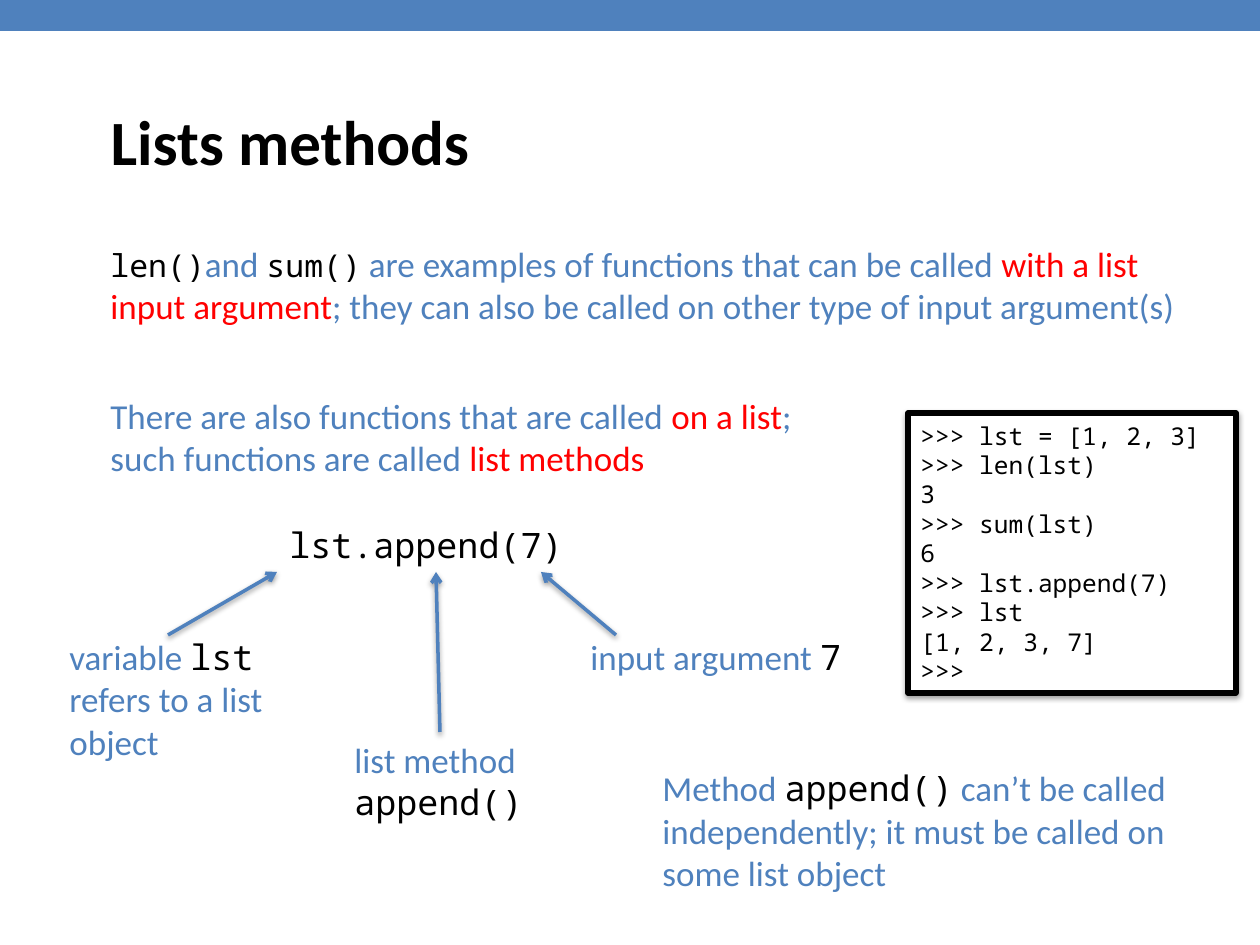
"""Build a slide that explains list methods with an annotated call and a console."""
import lxml.etree
import pptx
import pptx.dml.color
import pptx.enum.shapes
import pptx.enum.text
import pptx.oxml.ns
import pptx.util

BLUE = pptx.dml.color.RGBColor(0x4F, 0x81, 0xBD)
RED = pptx.dml.color.RGBColor(0xFF, 0x00, 0x00)
BLACK = pptx.dml.color.RGBColor(0x00, 0x00, 0x00)
WHITE = pptx.dml.color.RGBColor(0xFF, 0xFF, 0xFF)

TITLE = ("Calibri", 36, BLACK)
BODY = ("Calibri", 20, BLUE)
KEY = ("Calibri", 20, RED)
CODE = ("Noto Sans Mono", 20, BLACK)
INLINE_CODE = ("Noto Sans Mono", 18, BLACK)
CONSOLE = ("Noto Sans Mono", 14, BLACK)

PX = 914400 / 126
SHADOW = (
    '<a:effectLst xmlns:a="http://schemas.openxmlformats.org/drawingml/2006/main">'
    '<a:outerShdw blurRad="40000" dist="20000" dir="5400000" rotWithShape="0">'
    '<a:srgbClr val="000000"><a:alpha val="38000"/></a:srgbClr>'
    "</a:outerShdw></a:effectLst>"
)


def emu(*lengths):
    return [round(length * PX) for length in lengths]


def write_text(shape, paragraphs):
    frame = shape.text_frame
    frame.vertical_anchor = pptx.enum.text.MSO_ANCHOR.MIDDLE
    for index, runs in enumerate(paragraphs):
        paragraph = frame.add_paragraph() if index else frame.paragraphs[0]
        paragraph.alignment = pptx.enum.text.PP_ALIGN.LEFT
        for text, (font_name, size, color) in runs:
            run = paragraph.add_run()
            run.text = text
            run.font.name = font_name
            run.font.size = pptx.util.Pt(size)
            run.font.color.rgb = color


presentation = pptx.Presentation()
presentation.slide_width, presentation.slide_height = emu(1260, 945)
slide = presentation.slides.add_slide(presentation.slide_layouts[5])
rectangle = pptx.enum.shapes.MSO_SHAPE.RECTANGLE

banner = slide.shapes.add_shape(rectangle, *emu(0, 0, 1261, 31))
banner.shadow.inherit = False
banner.fill.solid()
banner.fill.fore_color.rgb = BLUE
banner.line.fill.background()

title = slide.shapes.title
title.left, title.top, title.width, title.height = emu(98, 0, 1071, 203)
title.text_frame.margin_top = emu(83)[0]
write_text(title, [[("Lists methods", TITLE)]])
title.text_frame.paragraphs[0].runs[0].font.bold = True

text_boxes = [
    ((98, 236, 1116, 97), True, [[
        ("len()", INLINE_CODE), ("and ", BODY), ("sum()", INLINE_CODE),
        (" are examples of functions that can be called ", BODY),
        ("with a list input argument", KEY),
        ("; they can also be called on other type of input argument(s)", BODY),
    ]]),
    ((98, 388, 789, 97), True, [
        [("There are also functions that are called ", BODY), ("on a list", KEY), (";", BODY)],
        [("such functions are called ", BODY), ("list methods", KEY)],
    ]),
    ((277, 517, 301, 55), False, [[("lst.append(7)", CODE)]]),
    ((57, 629, 220, 140), True, [
        [("variable ", BODY), ("lst ", CODE), ("refers to a list object", BODY)],
    ]),
    ((578, 629, 278, 55), False, [[("input argument ", BODY), ("7", CODE)]]),
    ((342, 732, 195, 97), False, [[("list method", BODY)], [("append()", CODE)]]),
    ((650, 760, 564, 140), True, [[
        ("Method ", BODY), ("append()", CODE),
        (" can’t be called independently; it must be called on some list object", BODY),
    ]]),
]
for place, wraps, paragraphs in text_boxes:
    text_box = slide.shapes.add_textbox(*emu(*place))
    text_box.text_frame.word_wrap = wraps
    text_box.text_frame.auto_size = pptx.enum.text.MSO_AUTO_SIZE.SHAPE_TO_FIT_TEXT
    write_text(text_box, paragraphs)

for ends in [(168, 635, 277, 572), (440, 732, 436, 572), (616, 635, 541, 572)]:
    arrow = slide.shapes.add_connector(pptx.enum.shapes.MSO_CONNECTOR.STRAIGHT, *emu(*ends))
    arrow.line.color.rgb = BLUE
    arrow.line.width = pptx.util.Pt(2)
    line = arrow.line._get_or_add_ln()
    lxml.etree.SubElement(line, pptx.oxml.ns.qn("a:tailEnd"), type="arrow")
    arrow._element.spPr.append(pptx.oxml.parse_xml(SHADOW))

console = slide.shapes.add_shape(rectangle, *emu(908, 413, 328, 280))
console.fill.solid()
console.fill.fore_color.rgb = WHITE
console.line.color.rgb = BLACK
console.line.width = pptx.util.Pt(3)
console._element.spPr.append(pptx.oxml.parse_xml(SHADOW))
console.text_frame.word_wrap = True
console.text_frame.auto_size = pptx.enum.text.MSO_AUTO_SIZE.SHAPE_TO_FIT_TEXT
console_lines = [
    ">>> lst = [1, 2, 3]", ">>> len(lst)", "3", ">>> sum(lst)", "6",
    ">>> lst.append(7)", ">>> lst", "[1, 2, 3, 7]", ">>>",
]
write_text(console, [[(text, CONSOLE)] for text in console_lines])

presentation.save("out.pptx")
